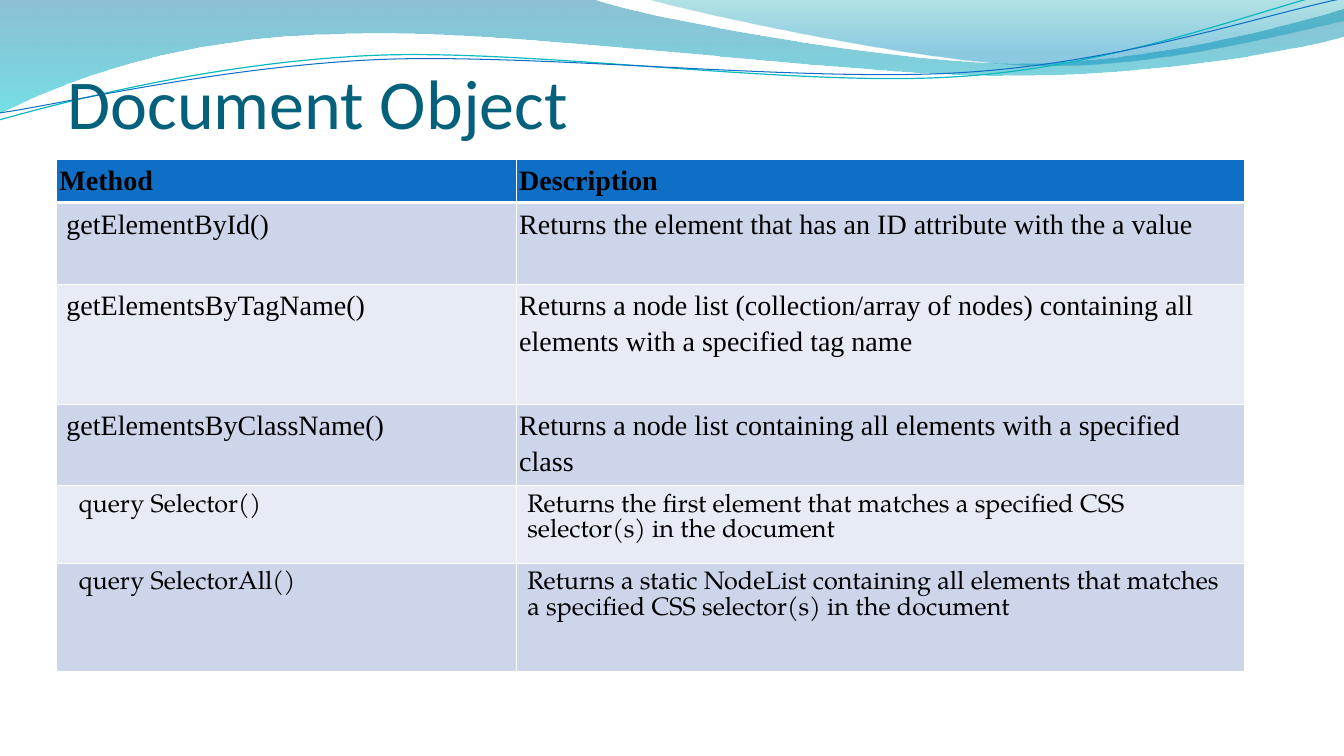
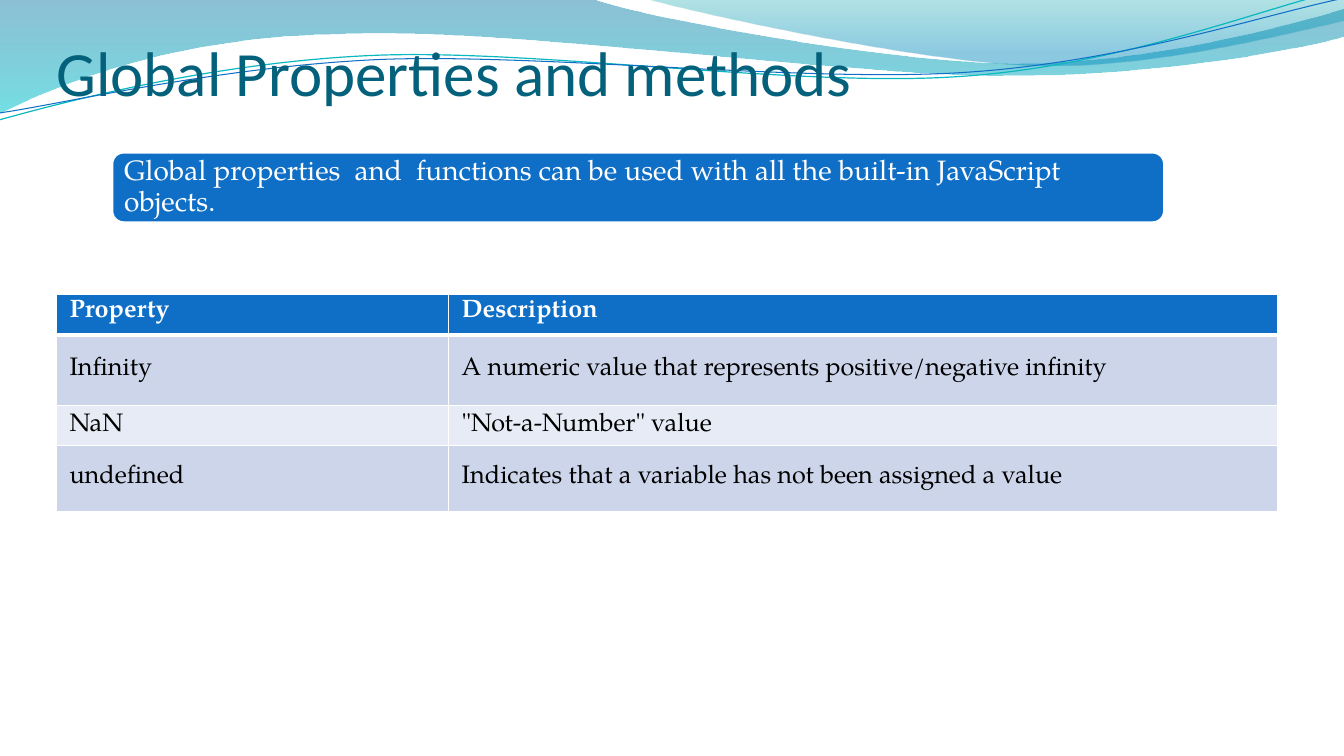
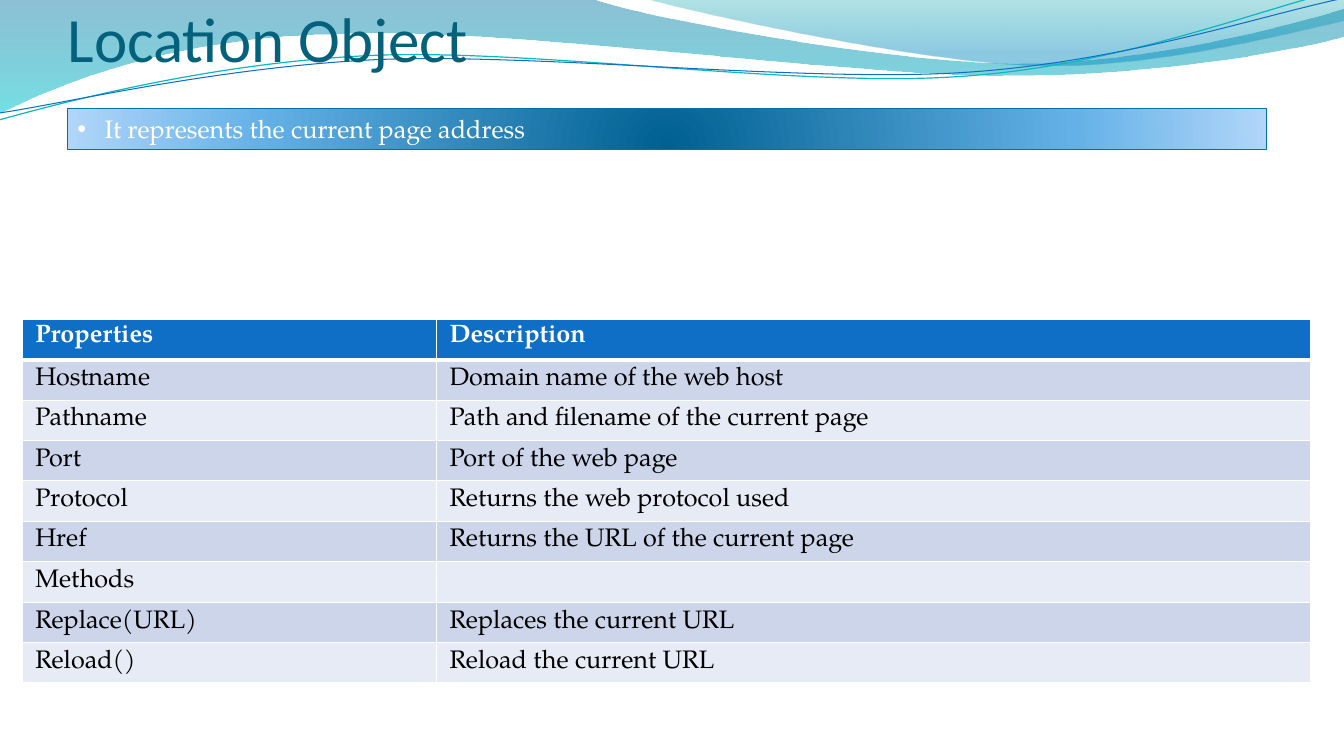
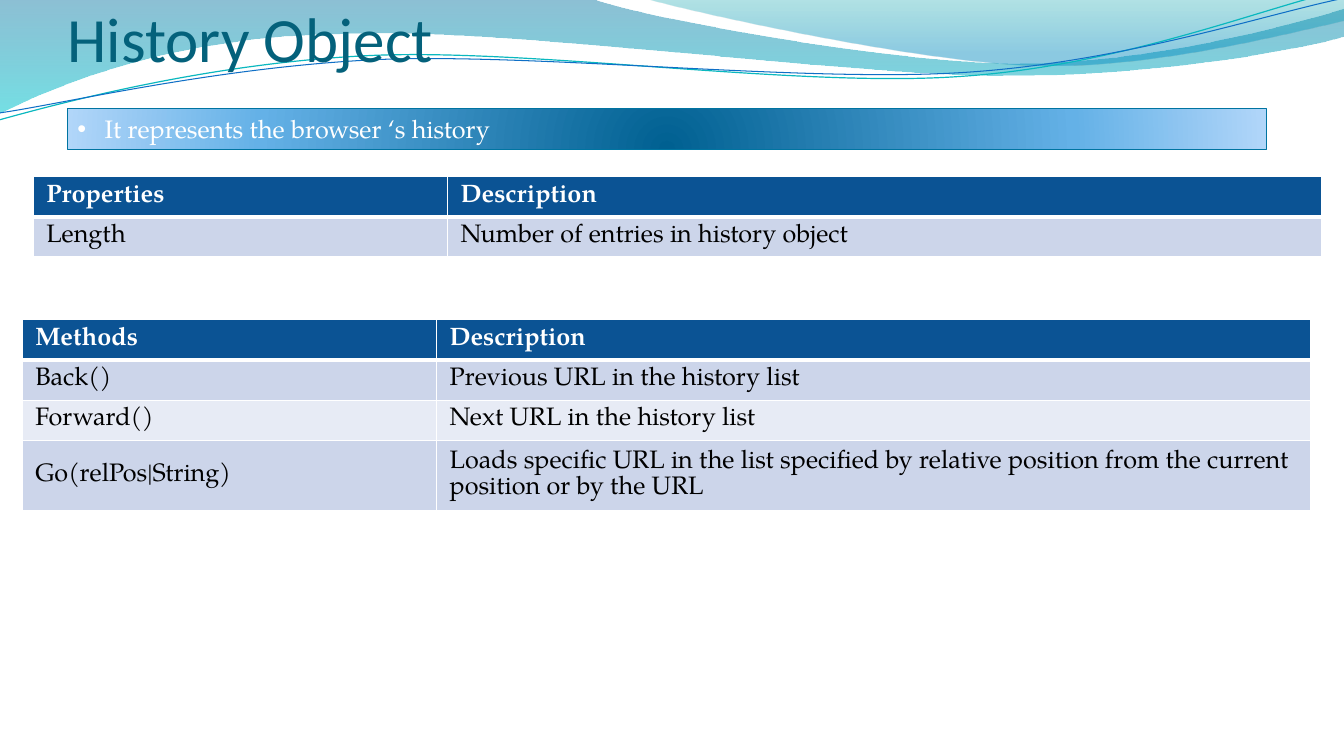
from lxml.etree import SubElement
from pptx import Presentation
from pptx.dml.color import RGBColor
from pptx.enum.shapes import MSO_SHAPE as Preset
from pptx.enum.text import MSO_ANCHOR as Anchor, MSO_AUTO_SIZE as AutoSize, PP_ALIGN as Align
from pptx.oxml import parse_xml
from pptx.oxml.ns import nsdecls, qn
from pptx.util import Inches, Pt

WHITE = RGBColor(0xFF, 0xFF, 0xFF)
BLACK = RGBColor(0x00, 0x00, 0x00)
TITLE_TEAL = RGBColor(0x04, 0x61, 0x7B)
BLUE = RGBColor(0x0F, 0x6F, 0xC6)
DARK_BLUE = RGBColor(0x0B, 0x53, 0x94)
TURQUOISE = RGBColor(0x0A, 0xB8, 0xBF)
BAR_LINE = RGBColor(0x00, 0x74, 0xA1)
ROW_FILLS = (RGBColor(0xCC, 0xD5, 0xEA), RGBColor(0xE7, 0xEB, 0xF5))

TITLE_FONT = "Calibri"
BODY_FONT = "TeX Gyre Pagella"
SERIF_FONT = "Times New Roman"

DOWNWARD = '<a:lin ang="5400000" scaled="1"/>'
RADIAL = '<a:path path="circle"><a:fillToRect l="50000" t="130000" r="50000" b="-30000"/></a:path>'
BAR_STOPS = [(0, RGBColor(0x00, 0x60, 0x91), 100), (68, RGBColor(0x64, 0xB1, 0xE7), 100),
             (100, RGBColor(0xB1, 0xD6, 0xF9), 100)]

WAVES = [
    {"points": [(0, 0), (5.87, -0.01), (6.34, 0.17, 8.85, 0.63, 10.11, 0.63),
                (11.38, 0.63, 12.78, 0.26, 13.33, 0.09), (13.35, 0.36),
                (13.11, 0.44, 11.6, 0.76, 9.94, 0.75), (8.29, 0.75, 5.09, 0.28, 3.43, 0.34),
                (1.72, 0.36, 0.61, 0.83, -0.01, 1.13), (0, 0)],
     "stops": [(0, RGBColor(0x00, 0x74, 0xA1), 45), (100, RGBColor(0x00, 0xC6, 0xCF), 55)]},
    {"points": [(6.39, -0.01), (6.79, 0.11, 9.09, 0.62, 10.25, 0.65),
                (11.41, 0.69, 12.82, 0.32, 13.33, 0.21), (13.33, 0), (6.39, -0.01)],
     "stops": [(0, RGBColor(0x00, 0xA1, 0xA9), 30), (80, RGBColor(0x00, 0x8B, 0xBF), 45)]},
    {"points": [(-0.01, 1.19), (0.64, 1.01, 2.11, 0.62, 3.69, 0.55),
                (5.27, 0.48, 7.9, 0.87, 9.5, 0.76), (11.1, 0.66, 12.52, 0.08, 13.31, -0.1)],
     "line": (TURQUOISE, 0.85)},
    {"points": [(0, 1.12), (0.63, 1.03, 2.18, 0.66, 3.78, 0.59),
                (5.37, 0.53, 7.96, 0.82, 9.55, 0.72), (11.15, 0.62, 12.55, 0.14, 13.34, -0.02)],
     "line": (BLUE, 0.75)},
]

CELL = {"insets": [(0.13, 0.05, 0.13, 0.05)] * 2, "anchor": Anchor.MIDDLE}
TOP_HEADER = {**CELL, "anchor": Anchor.TOP}
SERIF_CELL = {"format": {"font": SERIF_FONT, "size": 20, "spacing": 1.15, "color": BLACK},
              "insets": [(0.03, 0.02, 0.03, 0.02)] * 2, "anchor": Anchor.TOP}
SELECTOR_CELL = {"insets": [(0.22, 0.08, 0.11, 0.08), (0.11, 0.08, 0.11, 0.08)],
                 "anchor": Anchor.TOP}

SLIDES = [
    {"title": "Document Object", "title_box": (0.67, 0.17, 12, 1.25), "title_size": 50,
     "tables": [{
         "at": (0.56, 1.58), "columns": (4.56, 7.22), "heights": (0.43, 0.81, 1.19, 0.81, 0.77, 1.07),
         "header_fill": BLUE,
         "styles": [SERIF_CELL] * 4 + [SELECTOR_CELL] * 2,
         "rows": [
             ("Method", "Description"),
             (" getElementById()", "Returns the element that has an ID attribute with the a value"),
             (" getElementsByTagName()", "Returns a node list (collection/array of nodes) containing "
                                         "all elements with a specified tag name"),
             (" getElementsByClassName()",
              "Returns a node list containing all elements with a specified class"),
             ("query Selector()",
              "Returns the first element that matches a specified CSS selector(s) in the document"),
             ("query SelectorAll()", "Returns a static NodeList containing all elements that matches "
                                     "a specified CSS selector(s) in the document"),
         ]}]},
    {"title": "Global Properties and methods", "title_box": (0.56, 0.33, 12, 0.75),
     "callout": "Global properties  and  functions can be used with all the built-in JavaScript objects.",
     "tables": [{
         "at": (0.56, 2.92), "columns": (3.89, 8.22), "heights": (0.4, 0.7, 0.4, 0.65),
         "header_fill": BLUE, "styles": [TOP_HEADER] + [CELL] * 3,
         "rows": [
             ("Property", "Description"),
             ("Infinity", "A numeric value that represents positive/negative infinity"),
             ("NaN", '"Not-a-Number" value'),
             ("undefined", "Indicates that a variable has not been assigned a value"),
         ]}]},
    {"title": "Location Object", "bar": "It represents the current page address",
     "tables": [{
         "at": (0.22, 3.17), "columns": (4.11, 8.67), "heights": (0.4,) * 9,
         "header_fill": BLUE, "styles": [TOP_HEADER] + [CELL] * 8,
         "rows": [
             ("Properties", "Description"),
             ("Hostname", "Domain name of the web host"),
             ("Pathname", "Path and filename of the current page"),
             ("Port", "Port of the web page"),
             ("Protocol", "Returns the web protocol used"),
             ("Href", "Returns the URL of the current page"),
             ("Methods", ""),
             ("Replace(URL)", "Replaces the current URL"),
             ("Reload()", "Reload the current URL"),
         ]}]},
    {"title": "History Object", "bar": "It represents the browser ‘s history",
     "tables": [
         {"at": (0.22, 3.17), "columns": (4.11, 8.67), "heights": (0.4, 0.4, 0.4, 0.7),
          "header_fill": DARK_BLUE, "styles": [CELL] * 4,
          "rows": [
              ("Methods", "Description"),
              ("Back()", "Previous URL in the history list"),
              ("Forward()", "Next URL in the history list"),
              ("Go(relPos|String)", "Loads specific URL in the list specified by relative position "
                                    "from the current position or by the URL"),
          ]},
         {"at": (0.33, 1.75), "columns": (4.11, 8.67), "heights": (0.4, 0.4),
          "header_fill": DARK_BLUE, "styles": [CELL] * 2,
          "rows": [("Properties", "Description"), ("Length", "Number of entries in history object")]},
     ]},
]


def write_text(frame, text, font=BODY_FONT, size=18, color=WHITE, bold=False, spacing=None,
               bullet_indent=None):
    paragraph = frame.paragraphs[0]
    paragraph.alignment = Align.LEFT
    if spacing:
        paragraph.line_spacing = spacing
    if bullet_indent:
        properties = paragraph._p.get_or_add_pPr()
        properties.set("marL", str(Inches(bullet_indent)))
        properties.set("indent", str(-Inches(bullet_indent)))
        SubElement(properties, qn("a:buFont"), typeface="Arial")
        SubElement(properties, qn("a:buChar"), char="•")
    if text:
        run = paragraph.add_run()
        run.text = text
        run.font.name, run.font.size, run.font.bold = font, Pt(size), bold
        run.font.color.rgb = color


def set_insets(target, insets):
    left, top, right, bottom = map(Inches, insets)
    target.margin_left, target.margin_top = left, top
    target.margin_right, target.margin_bottom = right, bottom


def place(shape, box):
    shape.left, shape.top, shape.width, shape.height = map(Inches, box)


def set_gradient(shape, stops, direction):
    shape.fill.background()
    entries = "".join(
        f'<a:gs pos="{position * 1000}"><a:srgbClr val="{color}"><a:alpha val="{alpha * 1000}"/>'
        f"</a:srgbClr></a:gs>" for position, color, alpha in stops)
    gradient = parse_xml(f'<a:gradFill {nsdecls("a")} rotWithShape="1"><a:gsLst>{entries}</a:gsLst>'
                         f"{direction}</a:gradFill>")
    properties = shape.element.spPr
    properties.replace(properties.find(qn("a:noFill")), gradient)


def add_curved_outline(slide, points):
    ends = [(Inches(point[-2]), Inches(point[-1])) for point in points]
    builder = slide.shapes.build_freeform(*ends[0])
    builder.add_line_segments(ends[1:], close=False)
    shape = builder.convert_to_shape()
    outline = shape.element.find(".//" + qn("a:path"))
    for point, segment in zip(points[1:], outline.findall(qn("a:lnTo"))):
        if len(point) == 6:
            curve = SubElement(outline, qn("a:cubicBezTo"))
            for x, y in zip(point[::2], point[1::2]):
                SubElement(curve, qn("a:pt"), x=str(Inches(x) - shape.left),
                           y=str(Inches(y) - shape.top))
            outline.replace(segment, curve)
    if points[0] == points[-1]:
        SubElement(outline, qn("a:close"))
    return shape


def add_waves(slide, master):
    for index, wave in enumerate(WAVES):
        shape = add_curved_outline(slide, wave["points"])
        shape.shadow.inherit = False
        if "stops" in wave:
            set_gradient(shape, wave["stops"], DOWNWARD)
            shape.line.fill.background()
        else:
            color, width = wave["line"]
            shape.fill.background()
            shape.line.color.rgb, shape.line.width = color, Pt(width)
        shape.element.nvSpPr.cNvPr.set("id", str(100 + index))
        master.shapes.element.insert(2 + index, shape.element)


def style_master_title(master):
    title = master.placeholders[0]
    place(title, (0.67, 0, 12, 0.75))
    frame = title.text_frame
    frame.auto_size, frame.vertical_anchor = AutoSize.NONE, Anchor.BOTTOM
    set_insets(frame, (0, 0.05, 0, 0))
    level = master.element.find(".//" + qn("p:titleStyle")).find(qn("a:lvl1pPr"))
    level.set("algn", "l")
    level.replace(level.find(qn("a:defRPr")), parse_xml(
        f'<a:defRPr {nsdecls("a")} sz="4500"><a:solidFill><a:srgbClr val="{TITLE_TEAL}"/></a:solidFill>'
        f'<a:latin typeface="{TITLE_FONT}"/></a:defRPr>'))


def set_borders(cell, top, bottom):
    properties = cell._tc.get_or_add_tcPr()
    for tag, width in (("lnL", 1), ("lnR", 1), ("lnT", top), ("lnB", bottom)):
        line = SubElement(properties, qn(f"a:{tag}"), w=str(Pt(width)))
        SubElement(SubElement(line, qn("a:solidFill")), qn("a:srgbClr"), val=str(WHITE))


def add_table(slide, content):
    columns, heights, rows = content["columns"], content["heights"], content["rows"]
    left, top = content["at"]
    table = slide.shapes.add_table(len(rows), len(columns), Inches(left), Inches(top),
                                   Inches(sum(columns)), Inches(sum(heights))).table
    for column, width in zip(table.columns, columns):
        column.width = Inches(width)
    for index, (row, height, texts, style) in enumerate(
            zip(table.rows, heights, rows, content["styles"])):
        row.height = Inches(height)
        header = index == 0
        for cell, text, insets in zip(row.cells, texts, style["insets"]):
            set_borders(cell, 3 if index == 1 else 1, 3 if header else 1)
            cell.fill.solid()
            cell.fill.fore_color.rgb = content["header_fill"] if header else ROW_FILLS[(index - 1) % 2]
            set_insets(cell, insets)
            cell.vertical_anchor = style["anchor"]
            text_format = {"color": WHITE if header else BLACK, "bold": header,
                           **style.get("format", {})}
            write_text(cell.text_frame, text, **text_format)


def add_panel(slide, preset, box, line_color, line_width):
    shape = slide.shapes.add_shape(preset, *map(Inches, box))
    shape.shadow.inherit = False
    shape.line.color.rgb, shape.line.width = line_color, Pt(line_width)
    return shape


def add_callout(slide, text):
    panel = add_panel(slide, Preset.ROUNDED_RECTANGLE, (1.11, 1.51, 10.44, 0.7), WHITE, 2)
    panel.fill.solid()
    panel.fill.fore_color.rgb = BLUE
    frame = slide.shapes.add_textbox(*map(Inches, (1.15, 1.54, 10.38, 0.63))).text_frame
    frame.word_wrap = True
    frame.vertical_anchor = Anchor.MIDDLE
    set_insets(frame, (0.08, 0.08, 0.08, 0.08))
    write_text(frame, text, size=20, spacing=0.9)


def add_bar(slide, text):
    shape = add_panel(slide, Preset.RECTANGLE, (0.67, 1.08, 11.89, 0.4), BAR_LINE, 0.75)
    set_gradient(shape, BAR_STOPS, RADIAL)
    shape.text_frame.word_wrap = True
    shape.text_frame.vertical_anchor = Anchor.TOP
    write_text(shape.text_frame, text, bullet_indent=0.27)


def main():
    presentation = Presentation()
    presentation.slide_width, presentation.slide_height = Inches(13.33), Inches(7.5)
    master = presentation.slide_master
    style_master_title(master)
    for content in SLIDES:
        slide = presentation.slides.add_slide(presentation.slide_layouts[5])
        title = slide.shapes.title
        title.text_frame.text = content["title"]
        if "title_box" in content:
            place(title, content["title_box"])
        if "title_size" in content:
            title.text_frame.paragraphs[0].runs[0].font.size = Pt(content["title_size"])
        if "callout" in content:
            add_callout(slide, content["callout"])
        if "bar" in content:
            add_bar(slide, content["bar"])
        for table in content["tables"]:
            add_table(slide, table)
    add_waves(presentation.slides[0], master)
    presentation.save("out.pptx")


if __name__ == "__main__":
    main()
